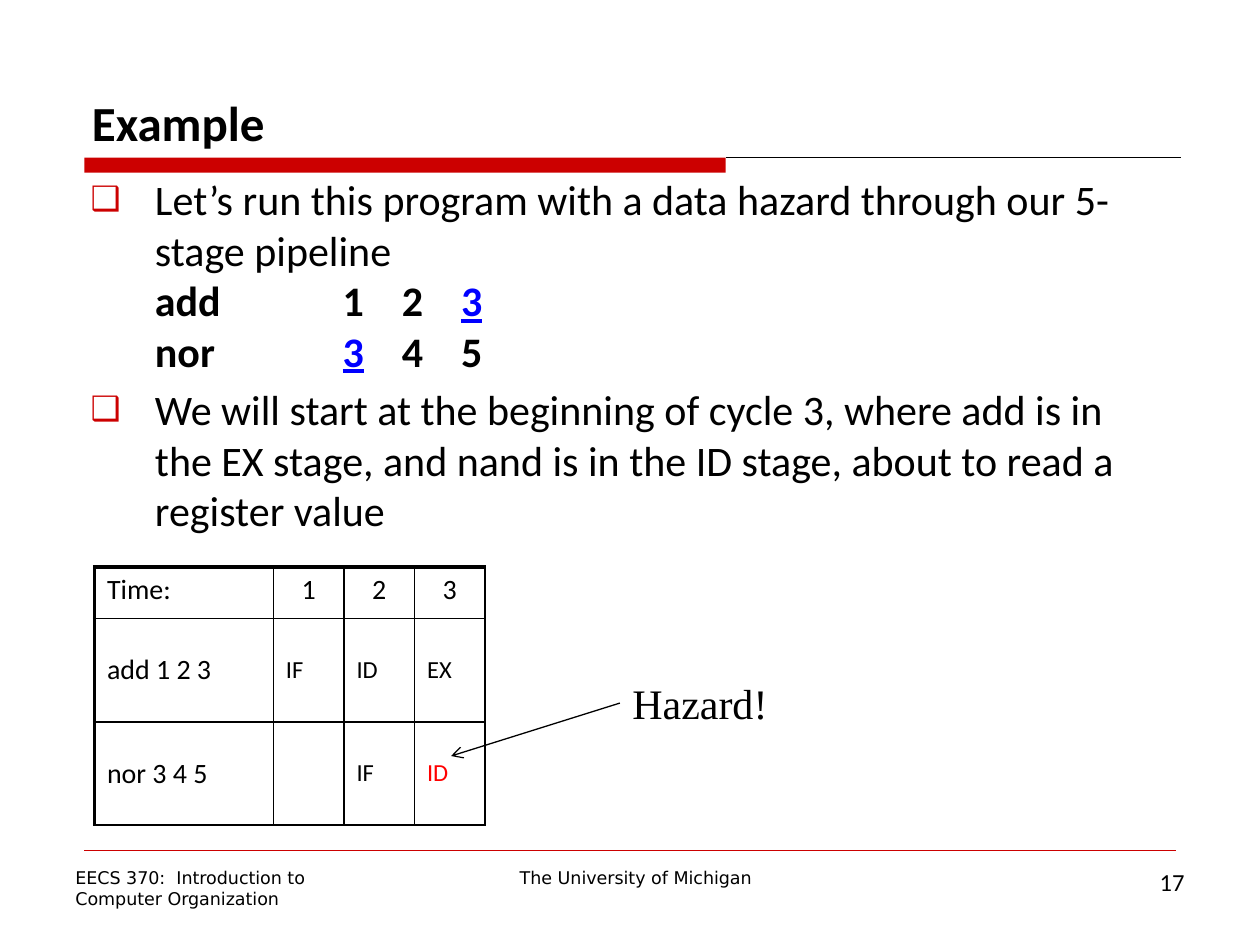
from lxml import etree
from pptx import Presentation
from pptx import util as u
from pptx.dml.color import RGBColor
from pptx.enum import shapes, text
from pptx.oxml import ns

COLORS = {"red": "CC0000", "black": "000000", "blue": "0000FF", "alert": "FF0000"}
LEFT, CENTER, RIGHT = text.PP_ALIGN.LEFT, text.PP_ALIGN.CENTER, text.PP_ALIGN.RIGHT


def add_span(para, words, size, font="Calibri", color="black", bold=False, underline=False):
    span = para.add_run()
    span.text = words
    span.font.size = u.Pt(size)
    span.font.name = font
    span.font.bold = bold
    span.font.underline = underline
    span.font.color.rgb = RGBColor.from_string(COLORS[color])


def add_node(parent, tag, **attributes):
    return etree.SubElement(parent, ns.qn(tag), attributes)


deck = Presentation()
deck.slide_width, deck.slide_height = u.Inches(10), u.Inches(7.5)
page = deck.slides.add_slide(deck.slide_layouts[1])

bar = page.shapes.add_shape(
    shapes.MSO_SHAPE.RECTANGLE, u.Inches(0.67), u.Inches(1.25), u.Inches(5.09), u.Inches(0.12)
)
bar.shadow.inherit = False
bar.fill.solid()
bar.fill.fore_color.rgb = RGBColor.from_string(COLORS["red"])
bar.line.fill.background()

title = page.shapes.title
title.left, title.top, title.width, title.height = map(u.Inches, (0.63, 0.33, 8.75, 0.92))
title.text_frame.vertical_anchor = text.MSO_ANCHOR.BOTTOM
title.text_frame.auto_size = text.MSO_AUTO_SIZE.NONE
para = title.text_frame.paragraphs[0]
para.alignment = LEFT
add_span(para, "Example", 28, bold=True)

body = page.placeholders[1]
body.left, body.top, body.width, body.height = map(u.Inches, (0.62, 1.33, 8.75, 5.25))
body.text_frame.auto_size = text.MSO_AUTO_SIZE.NONE
bullets = [
    [
        [("Let’s run this program with a data hazard through our 5-stage pipeline", {})],
        [("add\t1\t2\t", {"bold": True}), ("3", {"bold": True, "color": "blue", "underline": True})],
        [
            ("nor\t", {"bold": True}),
            ("3", {"bold": True, "color": "blue", "underline": True}),
            ("\t4\t5", {"bold": True}),
        ],
    ],
    [[(
        "We will start at the beginning of cycle 3, where add is in the EX stage, "
        "and nand is in the ID stage, about to read a register value", {}
    )]],
]
for index, lines in enumerate(bullets):
    para = body.text_frame.paragraphs[0] if index == 0 else body.text_frame.add_paragraph()
    props = para._p.get_or_add_pPr()
    props.set("marL", str(u.Inches(0.51)))
    props.set("indent", str(u.Inches(-0.51)))
    add_node(add_node(props, "a:buClr"), "a:srgbClr", val=COLORS["red"])
    add_node(props, "a:buSzPct", val="80000")
    add_node(props, "a:buChar", char="❑")
    stops = add_node(props, "a:tabLst")
    for stop in (2, 2.47, 2.94):
        add_node(stops, "a:tab", pos=str(u.Inches(stop)), algn="l")
    para.space_before = u.Pt(4.8 if index else 0)
    for number, line in enumerate(lines):
        if number:
            para.add_line_break()
            add_node(para._p[-1], "a:rPr", sz="2400")
        for words, style in line:
            add_span(para, words, 24, **style)

labels = [
    ((3.17, 6.83, 3.75, 0.27), ["The University of Michigan"], 10, "DejaVu Sans", CENTER),
    ((0.5, 6.83, 2.75, 0.43), ["EECS 370:  Introduction to", "Computer Organization"], 10, "DejaVu Sans", LEFT),
    ((7.17, 6.83, 2.33, 0.52), ["17"], 14, "Calibri", RIGHT),
    ((4.92, 5.33, 2.42, 0.5), ["Hazard!"], 24, "Times New Roman", LEFT),
]
for place, lines, size, font, align in labels:
    box = page.shapes.add_textbox(*map(u.Inches, place))
    box.text_frame.word_wrap = True
    for index, words in enumerate(lines):
        para = box.text_frame.paragraphs[0] if index == 0 else box.text_frame.add_paragraph()
        para.alignment = align
        add_span(para, words, size, font)
hazard = box

cells = [
    ["Time:", "1", "2", "3"],
    ["add 1 2 3", "IF", "ID", "EX"],
    ["nor 3 4 5", "", "IF", "ID"],
]
frame = page.shapes.add_table(3, 4, u.Inches(0.75), u.Inches(4.5), u.Inches(3.1), u.Inches(2.05))
table = frame.table
for column, width in zip(table.columns, (1.42, 0.56, 0.56, 0.56)):
    column.width = u.Inches(width)
for row, height in zip(table.rows, (0.41, 0.82, 0.82)):
    row.height = u.Inches(height)
for r, row in enumerate(cells):
    for c, words in enumerate(row):
        cell = table.cell(r, c)
        cell.vertical_anchor = text.MSO_ANCHOR.MIDDLE if r else text.MSO_ANCHOR.TOP
        props = cell._tc.get_or_add_tcPr()
        for side in "LRTB":
            thick = (side == "L" and c == 0) or (side == "T" and r == 0)
            border = add_node(props, f"a:ln{side}", w=str(u.Pt(2.25 if thick else 1)))
            add_node(add_node(border, "a:solidFill"), "a:srgbClr", val=COLORS["black"])
        cell.fill.background()
        para = cell.text_frame.paragraphs[0]
        para.alignment = CENTER if r == 0 and c else LEFT
        if words:
            color = "alert" if (r, c) == (2, 3) else "black"
            add_span(para, words, 14 if r and c else 16, color=color)

lines = [
    ((5.76, 1.25, 9.37, 1.25), "black", 0.5),
    ((0.67, 6.75, 9.33, 6.75), "red", 0.25),
    ((4.92, 5.58, 3.58, 6), "black", 0.75),
]
for ends, color, width in lines:
    line = page.shapes.add_connector(shapes.MSO_CONNECTOR.STRAIGHT, *map(u.Inches, ends))
    line.line.color.rgb = RGBColor.from_string(COLORS[color])
    line.line.width = u.Pt(width)
    add_node(line._element.spPr, "a:effectLst")
line.begin_connect(hazard, 1)
add_node(line.line._get_or_add_ln(), "a:tailEnd", type="arrow")

deck.save("out.pptx")
